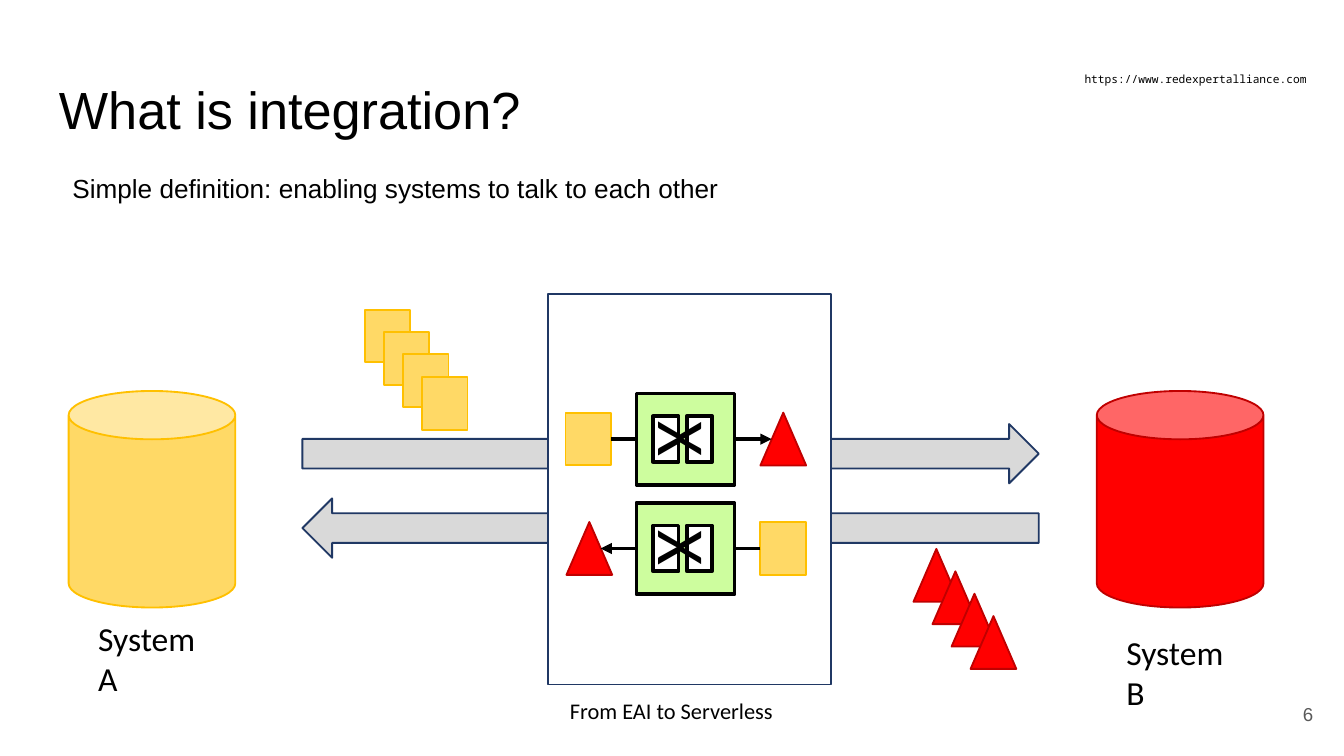
from lxml import etree
from pptx import Presentation
from pptx import util as u
from pptx.dml.color import RGBColor
from pptx.enum import shapes, text
from pptx.oxml.ns import qn

Pt = u.Pt
KIND = shapes.MSO_SHAPE
ALIGN = text.PP_ALIGN

BLACK, WHITE, NAVY = "000000", "FFFFFF", "203864"
YELLOW = ("FFD966", "FFC000")
RED = ("FF0000", "C00000")
GREY = ("D9D9D9", NAVY)
ITEM_W, ITEM_H = 24.5, 28.3


def colour(hex_value):
    return RGBColor.from_string(hex_value)


class Painter:
    """Holds the current page and its common style."""

    def __init__(self, page, font="Calibri"):
        self.page = page
        self.font = font

    def shape(self, kind, left, top, width, height, colours, line=1):
        shape = self.page.shapes.add_shape(
            kind, Pt(left), Pt(top), Pt(width), Pt(height))
        shape.shadow.inherit = False
        shape.fill.solid()
        shape.fill.fore_color.rgb = colour(colours[0])
        shape.line.color.rgb = colour(colours[1])
        shape.line.width = Pt(line)
        return shape

    def item(self, kind, left, top, colours):
        return self.shape(kind, left, top, ITEM_W, ITEM_H, colours)

    def label(self, words, left, top, width, height, size, font=None,
              inset=3.6, align=ALIGN.LEFT, ink=BLACK,
              anchor=text.MSO_ANCHOR.TOP):
        box = self.page.shapes.add_textbox(
            Pt(left), Pt(top), Pt(width), Pt(height))
        frame = box.text_frame
        frame.word_wrap = True
        frame.vertical_anchor = anchor
        frame.margin_left = frame.margin_right = Pt(inset)
        frame.margin_top = frame.margin_bottom = Pt(inset)
        para = frame.paragraphs[0]
        para.text = words
        para.alignment = align
        para.font.name = font or self.font
        para.font.size = Pt(size)
        para.font.color.rgb = colour(ink)
        return box

    def arrow(self, source, side, end_x):
        y = source.top + source.height // 2
        line = self.page.shapes.add_connector(
            shapes.MSO_CONNECTOR.STRAIGHT, source.left, y, Pt(end_x), y)
        line.begin_connect(source, side)
        line.line.color.rgb = colour(BLACK)
        line.line.width = Pt(2)
        outline = line.line._get_or_add_ln()
        etree.SubElement(outline, qn("a:tailEnd"), type="triangle")
        etree.SubElement(line._element.spPr, qn("a:effectLst"))

    def stack(self, kind, left, top, colours):
        for step in range(4):
            self.item(kind, left + 10.2 * step, top + 12 * step, colours)

    def system(self, words, left, label_top, colours):
        can = self.shape(KIND.CAN, left, 209.5, 89.3, 116, colours)
        can.adjustments[0] = 0.29
        self.label(words, left + 12.2, label_top, 68.6, 28, 18)

    def mapper(self, top):
        self.shape(KIND.RECTANGLE, 341, top, 52.5, 49, ("CDFD9E", BLACK), 2)
        for left in (349.9, 367.9):
            self.shape(KIND.RECTANGLE, left, top + 12.2, 13.6, 24.5,
                       (WHITE, BLACK), 2)
        self.label("X", 358.8, top + 3, 25.2, 41.8, 36).rotation = 90


def main():
    deck = Presentation()
    deck.slide_width, deck.slide_height = Pt(720), Pt(405)
    page = deck.slides.add_slide(deck.slide_layouts[6])
    paint = Painter(page)

    # Headings and footers
    paint.label("From EAI to Serverless", 234.7, 370, 250, 26, 12,
                align=ALIGN.CENTER)
    paint.label("https://www.redexpertalliance.com", 570.2, 35.3, 140.4, 18,
                6, "Noto Sans Mono", 7.2, ALIGN.CENTER)
    paint.label("What is integration?", 24.5, 35.3, 671, 45.4, 28,
                "Arial", 7.2, anchor=text.MSO_ANCHOR.MIDDLE)
    paint.label("Simple definition: enabling systems to talk to each other",
                31.7, 85, 626.4, 38.2, 14, "Arial", 7.2)
    paint.label("6", 667.4, 367.2, 43.2, 31, 10, "Arial", 7.2, ALIGN.RIGHT,
                "595959", text.MSO_ANCHOR.MIDDLE)

    # Systems at both ends
    paint.system("System A", 36.8, 327.6, YELLOW)
    paint.system("System B", 587.6, 334.8, RED)

    # Messages and their channels
    paint.stack(KIND.RECTANGLE, 195.4, 165.9, YELLOW)
    for top, rotation in ((227.2, 0), (267, 180)):
        channel = paint.shape(KIND.RIGHT_ARROW, 162, top, 394.5, 31.8, GREY)
        channel.rotation = rotation
    paint.stack(KIND.ISOSCELES_TRIANGLE, 489.4, 294.1, RED)

    # Integration layer with one translation in each direction
    paint.shape(KIND.RECTANGLE, 293.6, 157.6, 151.8, 209.2, (WHITE, NAVY))
    flows = ((221.1, 303, 407.4, 3, 413.4), (279.7, 407.4, 303.5, 1, 321.8))
    for top, square_x, triangle_x, side, end_x in flows:
        square = paint.item(KIND.RECTANGLE, square_x, top, YELLOW)
        paint.item(KIND.ISOSCELES_TRIANGLE, triangle_x, top, RED)
        paint.arrow(square, side, end_x)
        paint.mapper(top - 10.3)

    deck.save("out.pptx")


if __name__ == "__main__":
    main()
